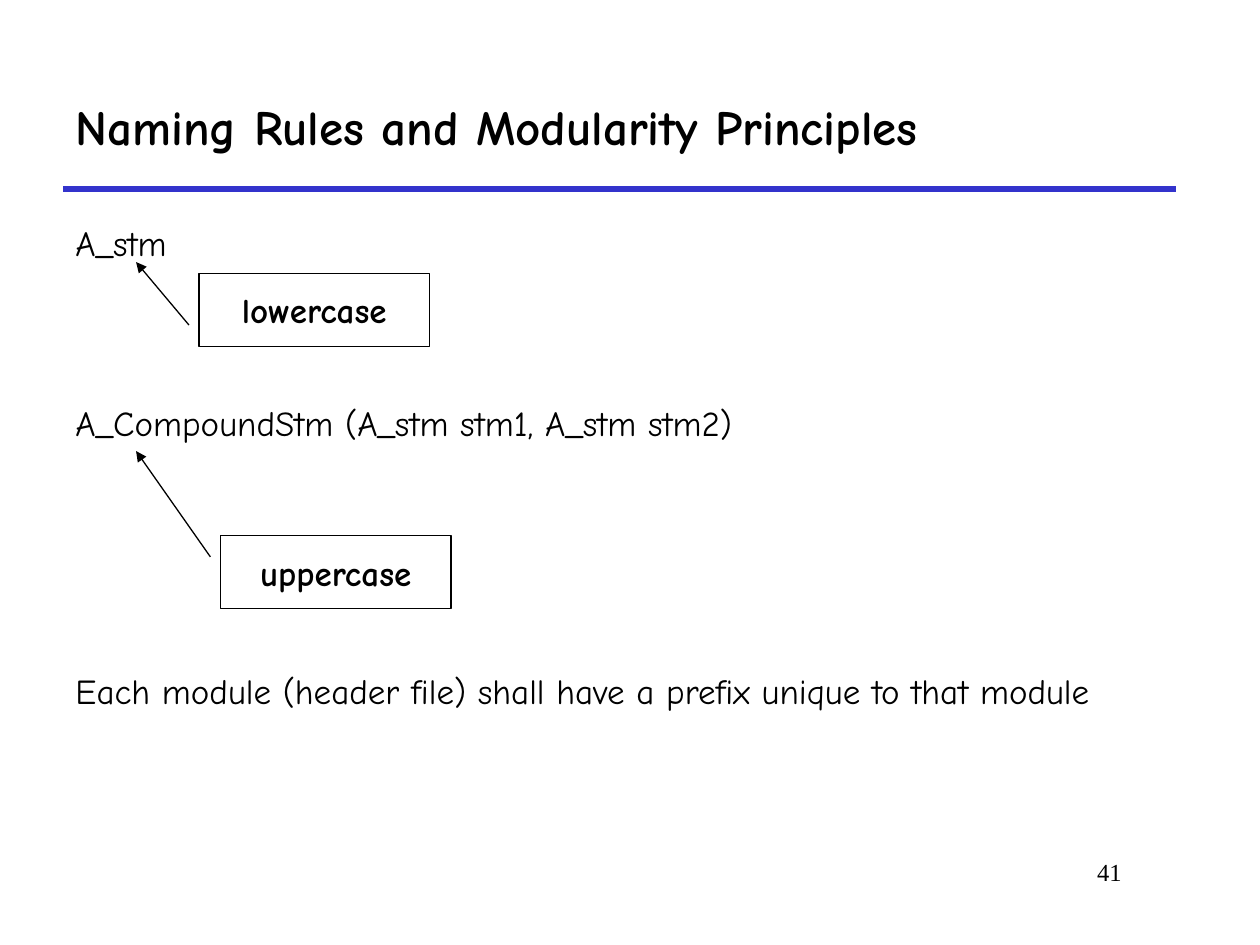
from dataclasses import dataclass

import pptx
import pptx.dml.color
import pptx.enum.shapes
import pptx.enum.text
import pptx.oxml.ns
import pptx.util
from lxml import etree

Inches = pptx.util.Inches
Pt = pptx.util.Pt
ALIGN = pptx.enum.text.PP_ALIGN
ANCHOR = pptx.enum.text.MSO_ANCHOR

HAND_FONT = "Comic Neue"
NUMBER_FONT = "Times New Roman"
BLACK, WHITE, BLUE = "000000", "FFFFFF", "3333CC"
LINE_PITCH = 25.6  # points from one body line to the next
LINE_GAP = 4       # points between neighbouring body lines
HANGING_INDENT = 0.38


@dataclass
class Statement:
    text: str
    skipped_lines: int


@dataclass
class Callout:
    text: str
    left: float
    top: float
    arrow_start: tuple[float, float]
    arrow_end: tuple[float, float]


STATEMENTS = [
    Statement("A_stm", 0),
    Statement("A_CompoundStm (A_stm stm1, A_stm stm2)", 3),
    Statement("Each module (header file) shall have a prefix unique to that module", 5),
]
CALLOUTS = [
    Callout("lowercase", 1.58, 2.17, (1.5, 2.58), (1.08, 2.08)),
    Callout("uppercase", 1.75, 4.25, (1.67, 4.42), (1.08, 3.58)),
]


def color(value: str) -> pptx.dml.color.RGBColor:
    return pptx.dml.color.RGBColor.from_string(value)


def add_span(para, text: str, size: float, font: str = HAND_FONT, bold: bool = False) -> None:
    span = para.add_run()
    span.text = text
    span.font.name = font
    span.font.size = Pt(size)
    span.font.bold = bold
    span.font.color.rgb = color(BLACK)


def add_line(page, start: tuple[float, float], end: tuple[float, float],
             line_color: str, width: float, arrow: bool = False) -> None:
    line = page.shapes.add_connector(
        pptx.enum.shapes.MSO_CONNECTOR.STRAIGHT,
        *(Inches(value) for value in (*start, *end)))
    line.line.color.rgb = color(line_color)
    line.line.width = Pt(width)
    if arrow:
        outline = line.line._get_or_add_ln()
        etree.SubElement(outline, pptx.oxml.ns.qn("a:tailEnd"), type="triangle")
    etree.SubElement(line._element.spPr, pptx.oxml.ns.qn("a:effectLst"))


def add_text_box(page, left: float, top: float, width: float, height: float):
    box = page.shapes.add_textbox(Inches(left), Inches(top), Inches(width), Inches(height))
    box.text_frame.word_wrap = True
    return box


def add_title(page, text: str) -> None:
    title = page.shapes.title
    title.left, title.top = Inches(0.5), Inches(0.5)
    title.width, title.height = Inches(8.83), Inches(1)
    frame = title.text_frame
    frame.auto_size = pptx.enum.text.MSO_AUTO_SIZE.NONE
    frame.vertical_anchor = ANCHOR.MIDDLE
    para = frame.paragraphs[0]
    para.alignment = ALIGN.LEFT
    add_span(para, text, 28, bold=True)


def add_statements(page, statements: list[Statement]) -> None:
    frame = add_text_box(page, 0.5, 1.75, 9.08, 4.83).text_frame
    for index, statement in enumerate(statements):
        para = frame.add_paragraph() if index else frame.paragraphs[0]
        para.line_spacing = 0.9
        gap = LINE_GAP + statement.skipped_lines * LINE_PITCH
        para.space_before = Pt(gap if index else 0)
        properties = para._p.get_or_add_pPr()
        properties.set("marL", str(Inches(HANGING_INDENT)))
        properties.set("indent", str(-Inches(HANGING_INDENT)))
        add_span(para, statement.text, 20)


def add_callout(page, callout: Callout) -> None:
    box = page.shapes.add_shape(
        pptx.enum.shapes.MSO_SHAPE.RECTANGLE,
        Inches(callout.left), Inches(callout.top), Inches(1.83), Inches(0.58))
    box.shadow.inherit = False
    box.fill.solid()
    box.fill.fore_color.rgb = color(WHITE)
    box.line.color.rgb = color(BLACK)
    box.line.width = Pt(0.75)
    box.text_frame.word_wrap = False
    box.text_frame.vertical_anchor = ANCHOR.MIDDLE
    para = box.text_frame.paragraphs[0]
    para.alignment = ALIGN.CENTER
    add_span(para, callout.text, 20, bold=True)
    add_line(page, callout.arrow_start, callout.arrow_end, BLACK, 0.75, arrow=True)


def main() -> None:
    deck = pptx.Presentation()
    deck.slide_width, deck.slide_height = Inches(10), Inches(7.5)
    page = deck.slides.add_slide(deck.slide_layouts.get_by_name("Title Only"))

    # Heading and rule
    add_line(page, (0.5, 1.5), (9.33, 1.5), BLUE, 3)
    add_title(page, "Naming Rules and Modularity Principles")

    # Page number
    number = add_text_box(page, 7.58, 6.75, 1.42, 0.5).text_frame.paragraphs[0]
    number.alignment = ALIGN.RIGHT
    add_span(number, "41", 14, NUMBER_FONT)

    # Naming examples with their callouts
    add_statements(page, STATEMENTS)
    for callout in CALLOUTS:
        add_callout(page, callout)

    deck.save("out.pptx")


if __name__ == "__main__":
    main()
